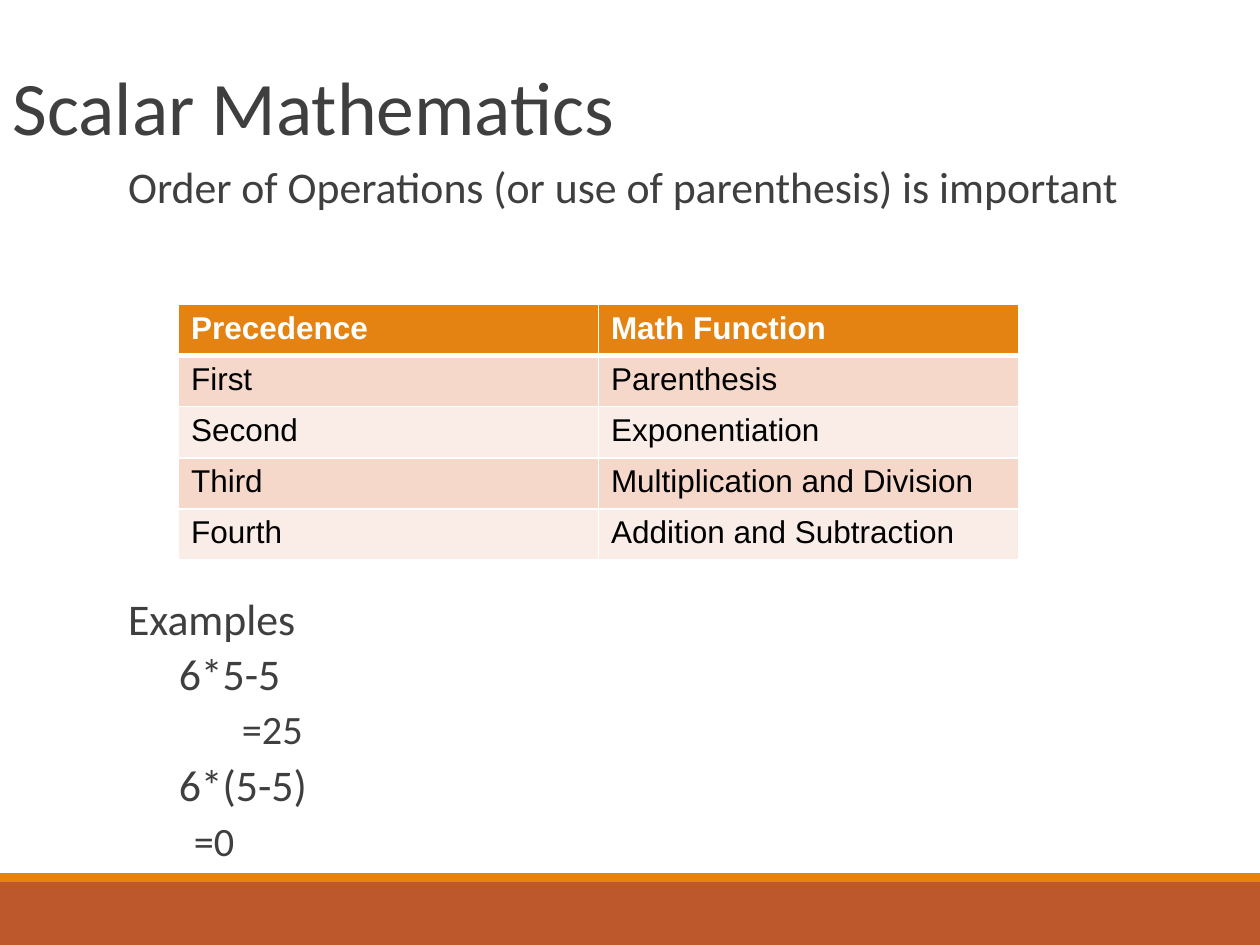
from dataclasses import dataclass
from lxml import etree
from pptx import Presentation
from pptx.dml.color import RGBColor
from pptx.enum.shapes import MSO_SHAPE
from pptx.enum.text import MSO_ANCHOR, MSO_AUTO_SIZE, PP_ALIGN
from pptx.oxml.ns import qn
from pptx.util import Pt

RECTANGLE = MSO_SHAPE.RECTANGLE
BOTTOM = MSO_ANCHOR.BOTTOM
NO_AUTOFIT = MSO_AUTO_SIZE.NONE
LEFT = PP_ALIGN.LEFT


@dataclass(frozen=True)
class Theme:
    text: str = "3F3F3F"
    orange: str = "E48312"
    rust: str = "BD582C"
    white: str = "FFFFFF"
    black: str = "000000"
    bands: tuple = ("FAECE6", "F5D8CA")
    font: str = "Calibri"
    table_font: str = "Arial"
    title_size: float = 43.2
    body_size: float = 25
    result_size: float = 23
    table_size: float = 18


theme = Theme()


def write(paragraph, text, size=theme.body_size, font=theme.font, color=theme.text,
          bold=False, indent=0, before=0, spacing=0.9):
    paragraph.alignment = LEFT
    paragraph.line_spacing = spacing
    paragraph.space_before = Pt(before)
    properties = paragraph._p.get_or_add_pPr()
    properties.set("marL", str(Pt(indent)))
    properties.set("indent", "0")
    run = paragraph.add_run()
    run.text = text
    run.font.size = Pt(size)
    run.font.name = font
    run.font.bold = bold
    run.font.color.rgb = RGBColor.from_string(color)


def add_border(cell, side, width):
    line = etree.SubElement(cell._tc.get_or_add_tcPr(), qn(f"a:ln{side}"), w=str(Pt(width)))
    fill = etree.SubElement(line, qn("a:solidFill"))
    etree.SubElement(fill, qn("a:srgbClr"), val=theme.white)


presentation = Presentation()
presentation.slide_width = Pt(720)
presentation.slide_height = Pt(540)
slide = presentation.slides.add_slide(presentation.slide_layouts[5])

for top, height, color in ((504, 36, theme.rust), (499, 5, theme.orange)):
    bar = slide.shapes.add_shape(RECTANGLE, 0, Pt(top), Pt(720), Pt(height))
    bar.shadow.inherit = False
    bar.fill.solid()
    bar.fill.fore_color.rgb = RGBColor.from_string(color)
    bar.line.fill.background()

title = slide.shapes.title
title.left, title.top, title.width, title.height = Pt(0), Pt(38), Pt(648), Pt(52)
title.text_frame.auto_size = NO_AUTOFIT
title.text_frame.vertical_anchor = BOTTOM
write(title.text_frame.paragraphs[0], "Scalar Mathematics", size=theme.title_size, spacing=0.85)

introduction = [
    ("Order of Operations (or use of parenthesis) is important", theme.body_size, 7, 0),
]
examples = [
    ("Examples", theme.body_size, 7, 0),
    ("6*5-5", theme.body_size, 36, 4),
    ("=25", theme.result_size, 72, 6),
    ("6*(5-5)", theme.body_size, 36, 6),
    ("=0", theme.result_size, 44.6, 6),
]
for top, height, lines in ((91.4, 40, introduction), (338.3, 160, examples)):
    box = slide.shapes.add_textbox(Pt(66.2), Pt(top), Pt(653.8), Pt(height))
    frame = box.text_frame
    frame.word_wrap = True
    frame.margin_left = frame.margin_right = 0
    for index, (text, size, indent, before) in enumerate(lines):
        paragraph = frame.add_paragraph() if index else frame.paragraphs[0]
        write(paragraph, text, size=size, indent=indent, before=before)

rows = [
    ("Precedence", "Math Function"),
    ("First", "Parenthesis"),
    ("Second", "Exponentiation"),
    ("Third", "Multiplication and Division"),
    ("Fourth", "Addition and Subtraction"),
]
table = slide.shapes.add_table(
    len(rows), 2, Pt(102), Pt(174), Pt(480), Pt(146)).table
for row_index, row in enumerate(rows):
    header = row_index == 0
    for column_index, text in enumerate(row):
        cell = table.cell(row_index, column_index)
        write(cell.text_frame.paragraphs[0], text, size=theme.table_size,
              font=theme.table_font, color=theme.white if header else theme.black,
              bold=header, spacing=1.0)
        for side in "LRTB":
            thick = (side == "B" and header) or (side == "T" and row_index == 1)
            add_border(cell, side, 3 if thick else 1)
        cell.fill.solid()
        fill = theme.orange if header else theme.bands[row_index % 2]
        cell.fill.fore_color.rgb = RGBColor.from_string(fill)

presentation.save("out.pptx")
